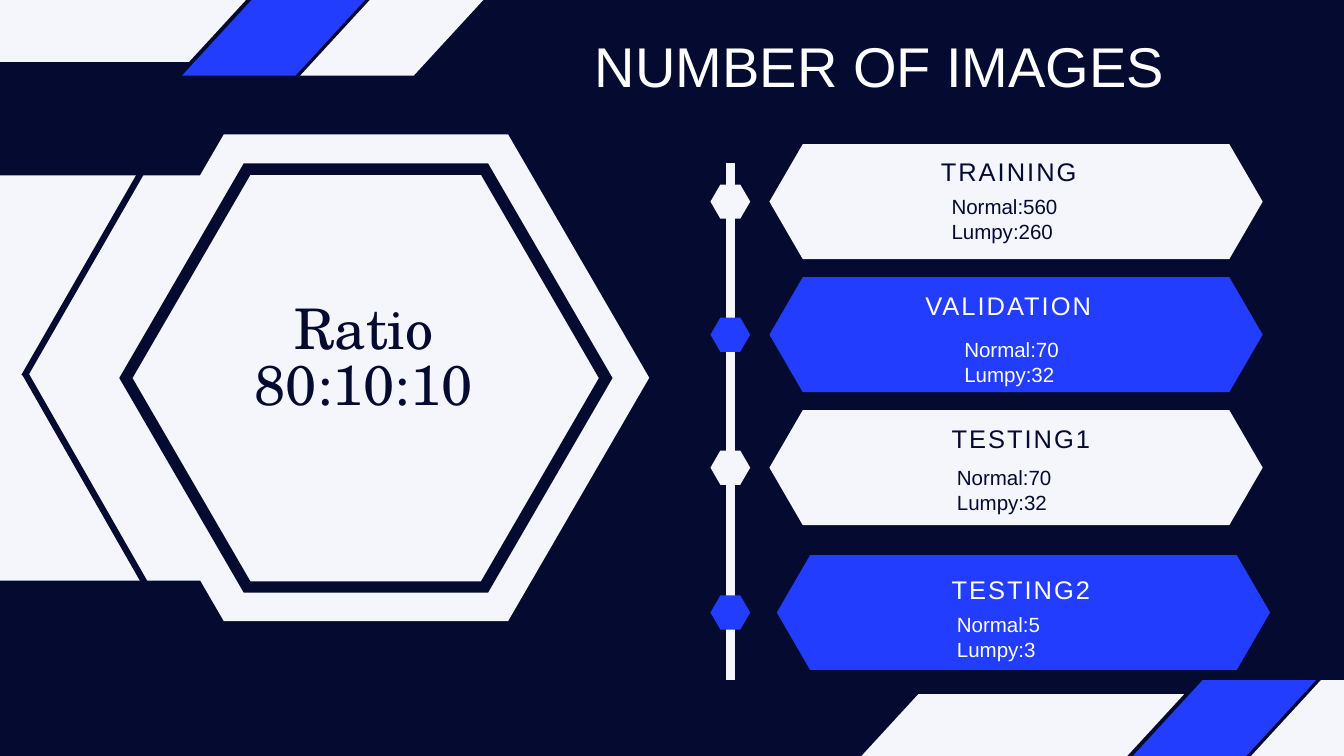
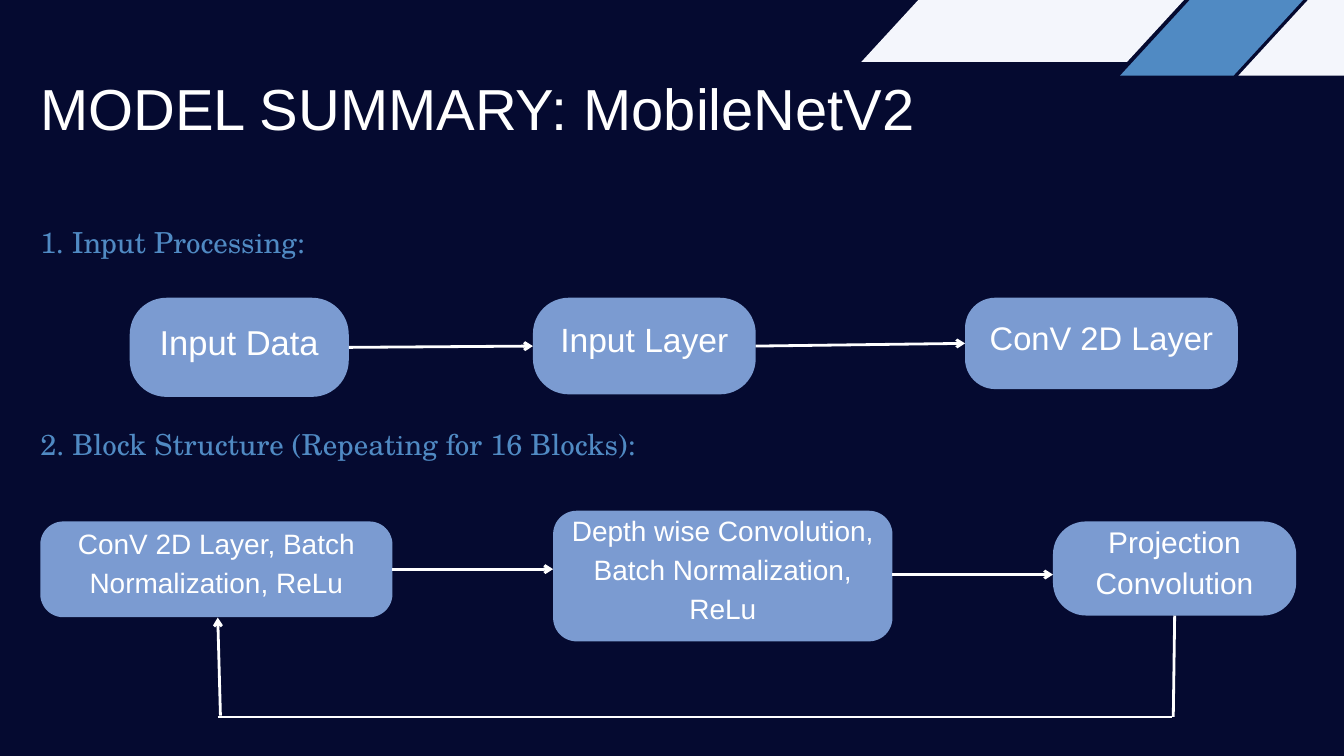
from dataclasses import dataclass

from lxml import etree
from pptx import Presentation
from pptx.dml.color import RGBColor
from pptx.enum.shapes import MSO_CONNECTOR, MSO_SHAPE
from pptx.enum.text import MSO_ANCHOR, MSO_AUTO_SIZE, PP_ALIGN
from pptx.oxml.ns import qn
from pptx.util import Pt

NAVY = RGBColor(0x05, 0x0A, 0x30)
PALE = RGBColor(0xF4, 0xF6, 0xFC)
BLUE = RGBColor(0x23, 0x3D, 0xFF)
STEEL = RGBColor(0x50, 0x8A, 0xC3)
SKY = RGBColor(0x7B, 0x9B, 0xD1)
WHITE = RGBColor(0xFF, 0xFF, 0xFF)

SANS = "Arial"
SERIF = "TeX Gyre Schola"
LEFT, CENTER = PP_ALIGN.LEFT, PP_ALIGN.CENTER
TOP, MIDDLE = MSO_ANCHOR.TOP, MSO_ANCHOR.MIDDLE
NO_FIT = MSO_AUTO_SIZE.NONE
STRAIGHT = MSO_CONNECTOR.STRAIGHT
HEXAGON = MSO_SHAPE.HEXAGON
SLANT = MSO_SHAPE.PARALLELOGRAM
RECT = MSO_SHAPE.RECTANGLE
ROUND = MSO_SHAPE.ROUNDED_RECTANGLE

TITLE_ONLY = 5
HEX_CUT = 0.29
SLANT_CUT = 0.92


@dataclass
class Box:
    x: float
    y: float
    w: float
    h: float

    def points(self) -> tuple:
        return Pt(self.x), Pt(self.y), Pt(self.w), Pt(self.h)


@dataclass
class Style:
    size: float
    lead: float
    color: RGBColor = WHITE
    face: str = SANS
    align: PP_ALIGN = LEFT
    track: float = 0


@dataclass
class Card:
    name: str
    note: tuple
    x: float
    y: float
    name_at: tuple
    note_at: tuple
    fill: RGBColor
    ink: RGBColor


@dataclass
class Node:
    text: str
    box: Box
    curve: float
    size: float
    rise: float = 20


# Shared drawing
def write(frame, lines: tuple, style: Style, anchor=TOP, inset: float = 0,
          gap: float = 0) -> None:
    frame.word_wrap = True
    frame.auto_size = NO_FIT
    frame.vertical_anchor = anchor
    frame.margin_left = frame.margin_right = Pt(inset)
    frame.margin_top = frame.margin_bottom = Pt(inset)
    for i, line in enumerate(lines):
        para = frame.add_paragraph() if i else frame.paragraphs[0]
        para.alignment = style.align
        para.line_spacing = Pt(style.lead)
        para.space_before = Pt(gap if i else 0)
        font = para.font
        font.size, font.name = Pt(style.size), style.face
        font.color.rgb = style.color
        run = para.add_run()
        run.text = line
        if style.track:
            run._r.get_or_add_rPr().set("spc", str(round(style.track * 100)))


def add_text(slide, box: Box, lines: tuple, style: Style, **more) -> None:
    write(slide.shapes.add_textbox(*box.points()).text_frame, lines, style,
          **more)


def paint(shape, fill: RGBColor) -> None:
    shape.shadow.inherit = False
    shape.fill.solid()
    shape.fill.fore_color.rgb = fill
    shape.line.fill.background()


def add_form(slide, kind, box: Box, fill: RGBColor, cut: float = 0) -> None:
    shape = slide.shapes.add_shape(kind, *box.points())
    if cut:
        shape.adjustments[0] = cut
    paint(shape, fill)


def add_line(slide, start: tuple, end: tuple, color: RGBColor, width: float,
             arrow: bool = False) -> None:
    line = slide.shapes.add_connector(
        STRAIGHT, *(Pt(value) for value in start + end))
    line.line.color.rgb = color
    line.line.width = Pt(width)
    if arrow:
        tail = etree.SubElement(line.line._get_or_add_ln(), qn("a:tailEnd"))
        tail.set("type", "arrow")
    etree.SubElement(line._element.spPr, qn("a:effectLst"))


def add_band(slide, x: float, y: float, accent: RGBColor) -> None:
    add_form(slide, SLANT, Box(x, y, 345.6, 66.2), PALE, SLANT_CUT)
    for shift, fill in ((277.2, accent), (403.9, PALE)):
        add_form(slide, SLANT, Box(x + shift, y - 15.1, 209.9, 96), fill,
                 SLANT_CUT)


def add_slide(deck, title: str, box: Box, style: Style):
    slide = deck.slides.add_slide(deck.slide_layouts[TITLE_ONLY])
    slide.background.fill.solid()
    slide.background.fill.fore_color.rgb = NAVY
    head = slide.shapes.title
    head.left, head.top, head.width, head.height = box.points()
    write(head.text_frame, (title,), style)
    return slide


# Slide 1: image counts
CARDS = (
    Card("TRAINING", ("Normal:560", "Lumpy:260"), 824.4, 154.5,
         (1008, 161.3), (1019.5, 207.4), PALE, NAVY),
    Card("VALIDATION", ("Normal:70", "Lumpy:32"), 824.4, 297,
         (991.4, 305.3), (1033.2, 360.7), BLUE, WHITE),
    Card("TESTING1", ("Normal:70", "Lumpy:32"), 824.4, 439.5,
         (1019.5, 447.8), (1025.3, 497.5), PALE, NAVY),
    Card("TESTING2", ("Normal:5", "Lumpy:3"), 832.3, 594.7,
         (1019.5, 609.1), (1025.3, 655.2), BLUE, WHITE),
)


def hex_points(box: Box) -> list:
    cut = HEX_CUT * box.h
    right, mid, low = box.x + box.w, box.y + box.h / 2, box.y + box.h
    return [(Pt(x), Pt(y)) for x, y in (
        (box.x, mid), (box.x + cut, box.y), (right - cut, box.y),
        (right, mid), (right - cut, low), (box.x + cut, low))]


def add_ring(slide, outer: Box, inner: Box, fill: RGBColor) -> None:
    rim, hole = hex_points(outer), hex_points(inner)[::-1]
    path = slide.shapes.build_freeform(*rim[0], scale=1.0)
    path.add_line_segments(rim[1:], close=True)
    path.move_to(*hole[0])
    path.add_line_segments(hole[1:], close=True)
    paint(path.convert_to_shape(), fill)


def add_card(slide, card: Card) -> None:
    high = 123.1
    add_form(slide, HEXAGON, Box(761.2, card.y + (high - 36.7) / 2, 42.6, 36.7),
             card.fill, HEX_CUT)
    add_form(slide, HEXAGON, Box(card.x, card.y, 528.5, high), card.fill,
             HEX_CUT)
    add_text(slide, Box(*card.name_at, 200, 36.7), (card.name,),
             Style(27.3, 38.2, card.ink, track=2.2))
    add_text(slide, Box(*card.note_at, 138, 53), card.note,
             Style(22, 26.8, card.ink))


def build_counts(deck) -> None:
    slide = add_slide(deck, "NUMBER OF IMAGES", Box(532.1, 46.1, 820.8, 64),
                      Style(60, 60, align=CENTER))
    # Ratio emblem
    add_form(slide, HEXAGON, Box(88.6, 144, 607, 521.5), PALE, HEX_CUT)
    add_form(slide, RECT, Box(-26.6, 187.9, 514.8, 434.2), PALE)
    add_band(slide, -82.1, 0, BLUE)
    add_band(slide, 923, 743.8, BLUE)
    add_ring(slide, Box(127.8, 175, 528.5, 460),
             Box(142, 187.4, 499.7, 435.4), NAVY)
    add_line(slide, (156.2, 626.4), (26.6, 399.6), NAVY, 6.75)
    add_line(slide, (25.9, 403.2), (156.2, 176.4), NAVY, 6.75)
    add_text(slide, Box(123.8, 326.9, 532, 124), ("Ratio", "80:10:10"),
             Style(60, 60, NAVY, SERIF, CENTER))
    # Timeline
    add_line(slide, (782.6, 175), (782.6, 728.6), PALE, 9)
    for card in CARDS:
        add_card(slide, card)


# Slide 2: model flow
NODES = (
    Node("Input Data", Box(139, 319, 234.7, 106.2), 0.37, 37),
    Node("Input Layer", Box(571, 319, 238.7, 103.5), 0.37, 36, 23),
    Node("ConV 2D Layer", Box(1034, 319, 292.3, 97.9), 0.33, 35),
    Node("ConV 2D Layer, Batch Normalization, ReLu",
         Box(43.2, 558.7, 377.3, 102.6), 0.24, 30),
    Node("Depth wise Convolution, Batch Normalization, ReLu",
         Box(592.6, 547.2, 363.6, 140), 0.18, 30),
    Node("Projection Convolution", Box(1128.2, 558.7, 260.6, 100.8), 0.35, 32),
)

ARROWS = (
    ((373.7, 372.2), (571, 370.8)),
    ((809.6, 370.8), (1034, 367.9)),
    ((420.5, 609.8), (592.6, 609.8)),
    ((956.2, 615.6), (1128.2, 615.6)),
    ((236.2, 766.8), (233.3, 661.7)),
)

# Return path below the blocks
LINKS = (
    ((233.3, 768.2), (744.5, 768.2)),
    ((744.5, 768.2), (1255.7, 768.2)),
    ((1258.6, 659.5), (1257.1, 768.2)),
)


def add_node(slide, node: Node) -> None:
    box = node.box
    add_form(slide, ROUND, box, SKY, node.curve)
    label = Box(box.x, box.y - node.rise, box.w, box.h + node.rise)
    add_text(slide, label, (node.text,),
             Style(node.size, node.size * 1.4, align=CENTER),
             anchor=MIDDLE, inset=4)


def build_model(deck) -> None:
    slide = add_slide(deck, "MODEL SUMMARY: MobileNetV2",
                      Box(43.2, 90, 956.9, 64.8), Style(62, 62))
    add_band(slide, 923, 0, STEEL)
    add_text(slide, Box(43.2, 234, 1353.6, 298),
             ("1. Input Processing:",
              "2. Block Structure (Repeating for 16 Blocks):"),
             Style(31, 43.4, STEEL, SERIF), gap=173.6)
    for node in NODES:
        add_node(slide, node)
    for start, end in ARROWS:
        add_line(slide, start, end, WHITE, 3, arrow=True)
    for start, end in LINKS:
        add_line(slide, start, end, WHITE, 3)


def main() -> None:
    deck = Presentation()
    deck.slide_width, deck.slide_height = Pt(1440), Pt(810)
    build_counts(deck)
    build_model(deck)
    deck.save("out.pptx")


if __name__ == "__main__":
    main()
